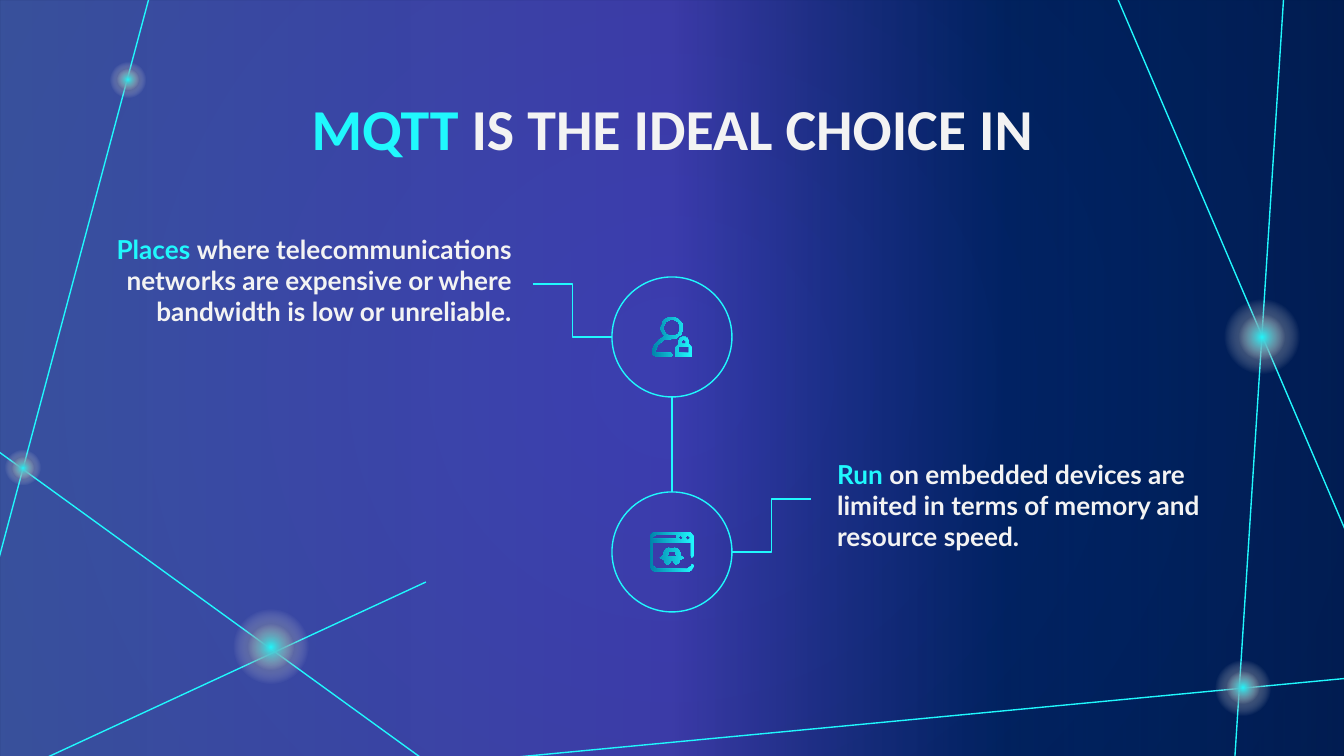
from math import cos, radians, sin

from pptx import Presentation
from pptx.dml.color import RGBColor
from pptx.enum.shapes import MSO_CONNECTOR, MSO_SHAPE
from pptx.enum.text import MSO_ANCHOR, MSO_AUTO_SIZE, PP_ALIGN
from pptx.oxml import parse_xml
from pptx.oxml.ns import nsdecls, qn
from pptx.oxml.xmlchemy import OxmlElement
from pptx.util import Emu, Pt

SCALE = 914400 / 134.4
WIDE, HIGH = 1344, 756
MID = 672
RING = 60
INK = {
    "cyan": "20F8FD",
    "teal": "0182AA",
    "white": "F3F3F3",
    "navy": "012060",
    "night": "00183A",
    "sky": "748BFF",
    "violet": "7659FF",
    "blue": "022E88",
}


def px(n):
    return Emu(round(n * SCALE))


def arc(x, y, r, start, end, steps=24):
    """Points along a circle; angles in degrees, clockwise from the right."""
    turns = [radians(start + (end - start) * i / steps) for i in range(steps + 1)]
    return [(x + r * cos(t), y + r * sin(t)) for t in turns]


class Deck:
    """Holds the style and the current slide."""

    def __init__(self, slide):
        self.slide = slide
        self.shapes = slide.shapes

    def shade(self, props, stops, angle=None):
        """Swap a solid fill for a gradient: linear with an angle, else radial."""
        marks = "".join(
            f'<a:gs pos="{pos * 1000}"><a:srgbClr val="{INK[ink]}">'
            f'<a:alpha val="{alpha * 1000}"/></a:srgbClr></a:gs>'
            for pos, ink, alpha in stops
        )
        if angle is None:
            kind = ('<a:path path="circle"><a:fillToRect l="50000" t="50000" '
                    'r="50000" b="50000"/></a:path>')
        else:
            kind = f'<a:lin ang="{angle * 60000}" scaled="0"/>'
        grad = parse_xml(f'<a:gradFill {nsdecls("a")} rotWithShape="1">'
                         f'<a:gsLst>{marks}</a:gsLst>{kind}</a:gradFill>')
        props.replace(props.find(qn("a:solidFill")), grad)

    def back(self, stops):
        self.slide.background.fill.solid()
        self.shade(self.slide.element.find(".//" + qn("p:bgPr")), stops)

    def fill(self, shape, stops, angle=None):
        shape.shadow.inherit = False
        shape.line.fill.background()
        shape.fill.solid()
        self.shade(shape.element.spPr, stops, angle)

    def veil(self, stops):
        shape = self.shapes.add_shape(MSO_SHAPE.RECTANGLE, 0, 0, px(WIDE), px(HIGH))
        self.fill(shape, stops, 0)

    def stroke(self, line):
        line.color.rgb = RGBColor.from_string(INK["cyan"])
        line.width = Pt(0.75)

    def line(self, x1, y1, x2, y2, kind=MSO_CONNECTOR.STRAIGHT):
        link = self.shapes.add_connector(kind, px(x1), px(y1), px(x2), px(y2))
        self.stroke(link.line)
        link.element.spPr.append(OxmlElement("a:effectLst"))

    def disc(self, x, y, r):
        return self.shapes.add_shape(
            MSO_SHAPE.OVAL, px(x - r), px(y - r), px(2 * r), px(2 * r))

    def ring(self, x, y):
        shape = self.disc(x, y, RING)
        shape.shadow.inherit = False
        shape.fill.background()
        self.stroke(shape.line)

    def glow(self, x, y, r):
        for size, ink in ((r, "night"), (round(r * 0.6), "cyan")):
            stops = [(0, ink, 100), (50, "white", 0), (100, "white", 0)]
            self.fill(self.disc(x, y, size), stops)

    def icon(self, loops):
        """Outline made of closed loops, inner ones being holes."""
        pen = self.shapes.build_freeform(*loops[0][0], scale=SCALE)
        pen.add_line_segments(loops[0][1:])
        for loop in loops[1:]:
            pen.move_to(*loop[0])
            pen.add_line_segments(loop[1:])
        stops = [(0, "cyan", 100), (100, "teal", 100)]
        self.fill(pen.convert_to_shape(), stops, 180)

    def text(self, spot, box, runs, font, size, align):
        """Place a placeholder in front of what is drawn so far and fill it."""
        holder = self.slide.placeholders[spot]
        holder.left, holder.top, holder.width, holder.height = map(px, box)
        holder.element.getparent().append(holder.element)
        frame = holder.text_frame
        frame.word_wrap = True
        frame.auto_size = MSO_AUTO_SIZE.NONE
        frame.vertical_anchor = MSO_ANCHOR.TOP
        frame.margin_left = frame.margin_right = px(13)
        frame.margin_top = frame.margin_bottom = px(13)
        para = frame.paragraphs[0]
        props = para._p.get_or_add_pPr()
        props.set("marL", "0")
        props.set("indent", "0")
        props.append(OxmlElement("a:buNone"))
        para.alignment = align
        para.space_before = Pt(0)
        for words, ink in runs:
            run = para.add_run()
            run.text = words
            run.font.name = font
            run.font.size = Pt(size)
            run.font.bold = True
            run.font.color.rgb = RGBColor.from_string(INK[ink])


USER = [
    [(671, 353), (657, 353), (655, 352), (658, 345), (664, 340), (672, 339)]
    + arc(672, 328, 11, 90, -229)
    + [(659, 340), (654, 346), (652, 351), (653, 355), (657, 357),
       (671, 357), (673, 355)],
    arc(672, 328, 8, 0, 360),
    [(676, 357), (676, 347), (679, 344)] + arc(684, 342, 5, 180, 360)
    + [(689, 344), (692, 347), (692, 357)],
    arc(684, 342, 2, 180, 360) + [(686, 344), (682, 344)],
    [(679, 347), (689, 347), (689, 353), (679, 353)],
]
WINDOW = [
    arc(656, 538, 6, 270, 180, 6) + arc(657, 565, 7, 180, 90, 6)
    + arc(687, 565, 7, 90, 0, 6) + [(692, 564), (691, 566), (687, 569),
                                    (657, 569), (653, 566), (653, 543),
                                    (691, 543), (691, 556), (692, 558),
                                    (694, 556)]
    + arc(688, 538, 6, 0, -90, 6),
    [(653, 539), (653, 537), (656, 535), (677, 535), (677, 539)],
    arc(681, 538, 2, 0, 360),
    arc(688, 538, 2, 0, 360),
    [(681, 556), (680, 552), (678, 549), (675, 548), (672, 549), (669, 548),
     (666, 549), (664, 552), (663, 556), (660, 558), (662, 559), (664, 560),
     (665, 563), (668, 565), (672, 560), (676, 565), (679, 563), (680, 560),
     (682, 559), (684, 558)],
    [(668, 555), (669, 551), (672, 552), (675, 551), (676, 555), (677, 556),
     (672, 557), (667, 556)],
]
RAYS = [(1117, -3, 1347, 534), (1284, -8, 1234, 771), (507, 758, 1361, 677),
        (-1, 452, 431, 765), (22, 769, 426, 582), (152, -13, -1, 558)]
GLOWS = [(1262, 337, 53), (1243, 688, 39), (271, 647, 53), (23, 468, 25),
         (128, 80, 25)]


def main():
    show = Presentation()
    show.slide_width, show.slide_height = px(WIDE), px(HIGH)
    deck = Deck(show.slides.add_slide(show.slide_layouts[3]))

    deck.back([(0, "navy", 100), (100, "night", 100)])
    deck.veil([(0, "sky", 49), (50, "violet", 50), (75, "blue", 35),
               (100, "navy", 60)])
    for ray in RAYS:
        deck.line(*ray)
    for spot in GLOWS:
        deck.glow(*spot)

    deck.text(1, (73, 220, 452, 125), [
        ("Places ", "cyan"),
        ("where telecommunications networks are expensive or where "
         "bandwidth is low or unreliable.", "white"),
    ], "Lato", 14, PP_ALIGN.RIGHT)
    deck.text(2, (824, 445, 427, 120), [
        ("Run", "cyan"),
        (" on embedded devices are limited in terms of memory and "
         "resource speed.", "white"),
    ], "Lato", 14, PP_ALIGN.LEFT)
    deck.text(0, (106, 80, 1132, 93), [
        ("MQTT ", "cyan"), ("IS THE IDEAL CHOICE IN", "white"),
    ], "Calibri", 31, PP_ALIGN.CENTER)

    high, low = 337, 552
    for y, loops in ((high, USER), (low, WINDOW)):
        deck.ring(MID, y)
        deck.icon(loops)
    deck.line(533, 284, MID - RING, high, MSO_CONNECTOR.ELBOW)
    deck.line(MID + RING, low, 811, 499, MSO_CONNECTOR.ELBOW)
    deck.line(MID, high + RING, MID, low - RING)
    show.save("out.pptx")


if __name__ == "__main__":
    main()
